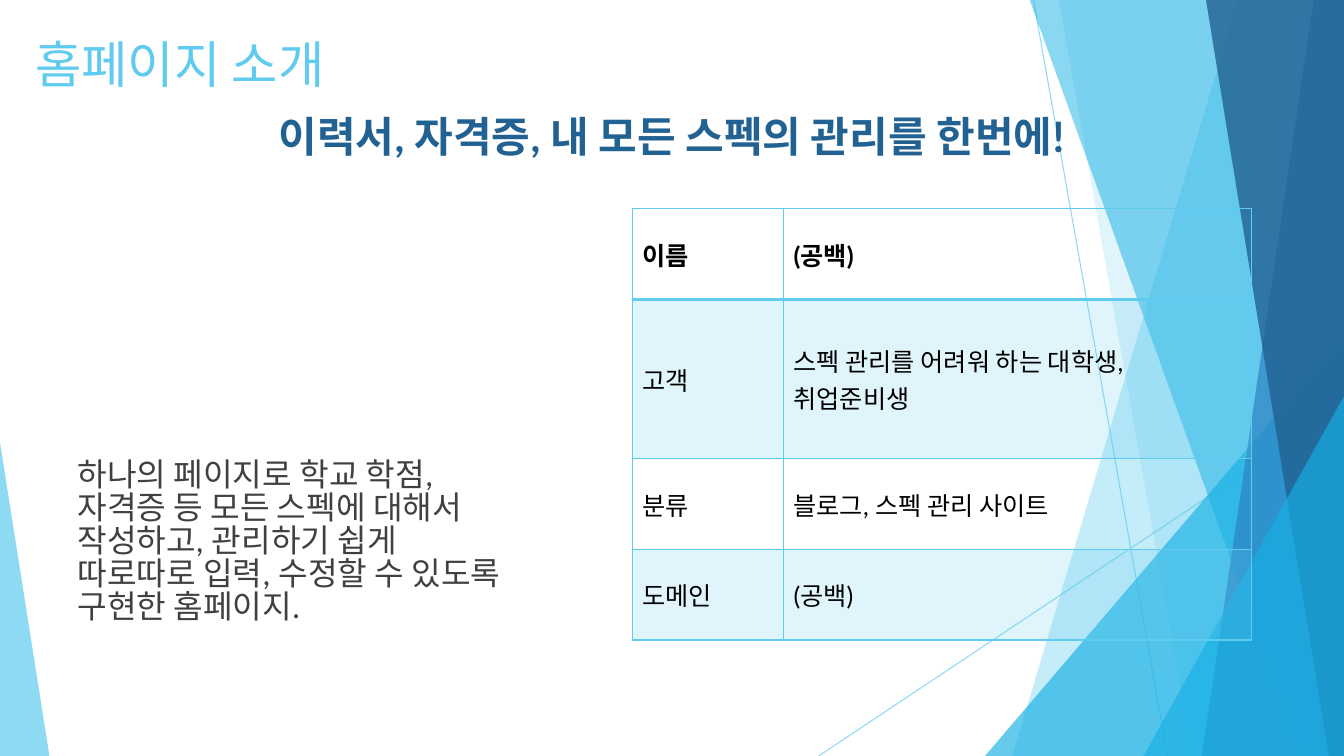
import pptx
import pptx.util
import pptx.dml.color
import pptx.enum.shapes
import pptx.enum.text
import pptx.oxml.ns
from lxml import etree

Inches, Pt = pptx.util.Inches, pptx.util.Pt
ALIGN, ANCHOR = pptx.enum.text.PP_ALIGN, pptx.enum.text.MSO_ANCHOR
qn = pptx.oxml.ns.qn

# Content
TITLE = "홈페이지 소개"
HEADLINE = "이력서, 자격증, 내 모든 스펙의 관리를 한번에!"
SUMMARY = ("하나의 페이지로 학교 학점, 자격증 등 모든 스펙에 대해서 작성하고, "
           "관리하기 쉽게 따로따로 입력, 수정할 수 있도록 구현한 홈페이지.")
ROWS = [
    ("이름", "(공백)"),
    ("고객", "스펙 관리를 어려워 하는 대학생, 취업준비생"),
    ("분류", "블로그, 스펙 관리 사이트"),
    ("도메인", "(공백)"),
]

# Theme
THEME = {
    "font": "Lato",
    "sky": "5FCBEF", "cyan": "17B0E4", "blue": "2E83C3", "navy": "226292",
    "body": "404040", "black": "000000",
    "title_size": 36, "headline_size": 30, "body_size": 23, "table_size": 18,
}

# Layout, in inches
WIDTH, HEIGHT, TOP = 13.33, 7.5, -0.01
COL_WIDTHS = [1.5, 4.64]
ROW_HEIGHTS = [0.9, 1.58, 0.9, 0.9]
RAYS = [(10.25, 0, 11.58, HEIGHT), (WIDTH, 4.03, 8.12, HEIGHT)]
# band: x at top, x at bottom; peak: left, top, width, apex position
FACETS = [
    ("band", (12.28, 10.04), "sky", 36),
    ("band", (10.5, 11.83), "sky", 20),
    ("peak", (9.77, 3.33, 3.56, 1), "cyan", 66),
    ("band", (10.21, 12.91), "cyan", 50),
    ("band", (13.03, 11.92), "blue", 70),
    ("band", (11.96, 13.18), "navy", 80),
    ("peak", (11.34, 3.93, 1.99, 1), "cyan", 66),
    ("peak", (0, 4.39, 0.49, 0), "sky", 70),
]


def rgb(name):
    return pptx.dml.color.RGBColor.from_string(THEME[name])


def paint(fill, color, alpha):
    fill.solid()
    fill.fore_color.rgb = rgb(color)
    clr = fill.fore_color._xFill.find(qn("a:srgbClr"))
    etree.SubElement(clr, qn("a:alpha"), val=str(alpha * 1000))


def write(tf, text, size, color, bold=False, align=ALIGN.LEFT, spacing=None):
    tf.word_wrap = True
    p = tf.paragraphs[0]
    p.alignment = align
    if spacing:
        p.line_spacing = spacing
    r = p.add_run()
    r.text = text
    r.font.name = THEME["font"]
    r.font.size = Pt(THEME[size])
    r.font.bold = bold
    r.font.color.rgb = rgb(color)


def add_text(s, box, text, anchor=ANCHOR.TOP, **fmt):
    tf = s.shapes.add_textbox(*map(Inches, box)).text_frame
    tf.vertical_anchor = anchor
    write(tf, text, **fmt)


def add_ray(s, x1, y1, x2, y2):
    line = s.shapes.add_connector(pptx.enum.shapes.MSO_CONNECTOR.STRAIGHT,
                                  *map(Inches, (x1, y1, x2, y2)))
    line.line.width = Pt(0.75)
    paint(line.line.fill, "sky", 70)
    etree.SubElement(line._element.spPr, qn("a:effectLst"))


def add_facet(s, kind, geometry, color, alpha):
    if kind == "band":
        top_x, bottom_x = geometry
        points = [(top_x, TOP), (WIDTH, TOP), (WIDTH, HEIGHT), (bottom_x, HEIGHT)]
        points = [(Inches(x), Inches(y)) for x, y in points]
        builder = s.shapes.build_freeform(*points[0])
        builder.add_line_segments(points[1:], close=True)
        sp = builder.convert_to_shape()
    else:
        left, top, width, apex = geometry
        sp = s.shapes.add_shape(pptx.enum.shapes.MSO_SHAPE.ISOSCELES_TRIANGLE,
                                *map(Inches, (left, top, width, HEIGHT - top)))
        sp.adjustments[0] = apex
    sp.shadow.inherit = False
    paint(sp.fill, color, alpha)
    sp.line.fill.background()


def add_borders(cell, **widths):
    tcPr = cell._tc.get_or_add_tcPr()
    for i, (side, width) in enumerate(widths.items()):
        ln = etree.Element(qn("a:ln" + side), w=str(Pt(width)))
        fill = etree.SubElement(ln, qn("a:solidFill"))
        etree.SubElement(fill, qn("a:srgbClr"), val=THEME["sky"])
        tcPr.insert(i, ln)


def add_site_table(s):
    box = (6.27, 2.07, sum(COL_WIDTHS), sum(ROW_HEIGHTS))
    table = s.shapes.add_table(len(ROWS), len(COL_WIDTHS), *map(Inches, box)).table
    table.first_row = table.horz_banding = False
    for col, width in zip(table.columns, COL_WIDTHS):
        col.width = Inches(width)
    for i, (texts, height) in enumerate(zip(ROWS, ROW_HEIGHTS)):
        table.rows[i].height = Inches(height)
        for j, text in enumerate(texts):
            cell = table.cell(i, j)
            cell.vertical_anchor = ANCHOR.MIDDLE
            if i % 2:
                paint(cell.fill, "sky", 20)
            else:
                cell.fill.background()
            add_borders(cell, L=1, R=1, T=2 if i == 1 else 1, B=2 if i == 0 else 1)
            write(cell.text_frame, text, size="table_size", color="black", bold=i == 0)


def main():
    prs = pptx.Presentation()
    prs.slide_width, prs.slide_height = Inches(WIDTH), Inches(HEIGHT)
    s = prs.slides.add_slide(prs.slide_layouts[6])

    # Backdrop
    for ray in RAYS:
        add_ray(s, *ray)
    for facet in FACETS:
        add_facet(s, *facet)

    # Texts
    add_text(s, (0.25, 0.25, 9.4, 0.73), TITLE, anchor=ANCHOR.BOTTOM,
             size="title_size", color="sky")
    add_text(s, (0.67, 4.52, 4.46, 2.07), SUMMARY,
             size="body_size", color="body", spacing=0.85)
    add_text(s, (2.25, 1.04, 8.82, 0.61), HEADLINE, anchor=ANCHOR.MIDDLE,
             size="headline_size", color="navy", bold=True, align=ALIGN.CENTER)

    # Site facts
    add_site_table(s)
    prs.save("out.pptx")


if __name__ == "__main__":
    main()
